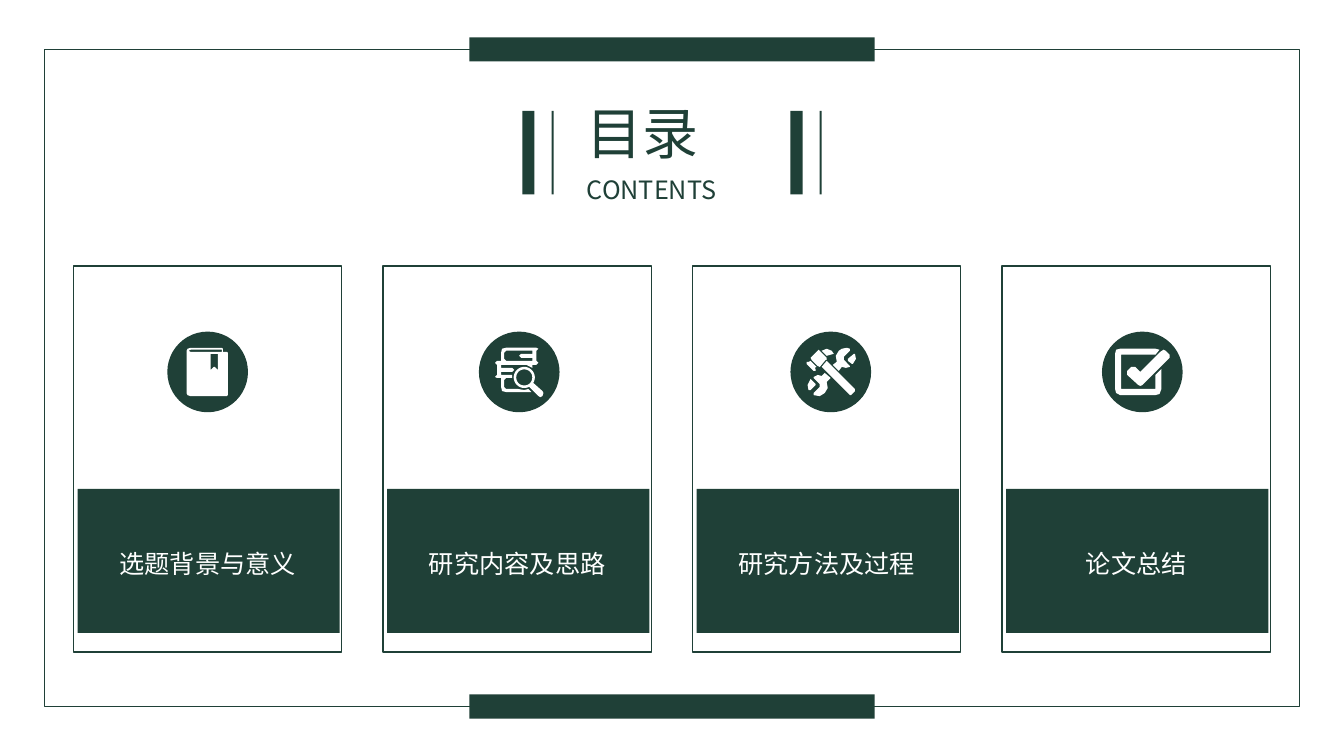
import math
from lxml import etree
from pptx import Presentation
from pptx.dml.color import RGBColor
from pptx.enum.shapes import MSO_SHAPE
from pptx.enum.text import MSO_ANCHOR, MSO_AUTO_SIZE, PP_ALIGN
from pptx.oxml.ns import qn
from pptx.util import Inches, Pt

RECT, OVAL = MSO_SHAPE.RECTANGLE, MSO_SHAPE.OVAL
TOP, NO_FIT = MSO_ANCHOR.TOP, MSO_AUTO_SIZE.NONE
CENTER, JUSTIFY = PP_ALIGN.CENTER, PP_ALIGN.JUSTIFY
FONT = "Noto Sans CJK SC"
COLORS = {"green": "1F4037", "white": "FFFFFF"}


def ring(x, y, r, count=32):
    turns = [2 * math.pi * i / count for i in range(count)]
    return [(x + r * math.cos(t), y + r * math.sin(t)) for t in turns]


# Icon outlines, in hundredths of an inch from the corner of the disc
BOOK = [
    [(59, 20), (55, 20), (55, 17), (54, 16), (23, 16), (20, 17), (19, 19), (19, 61),
     (20, 63), (23, 64), (59, 64), (60, 63), (60, 21)],
    [(23, 18), (54, 18), (54, 20), (23, 20), (21, 19)],
    [(43, 22), (50, 22), (50, 38), (47, 35), (46, 35), (43, 38)],
]
SEARCH = [
    ring(45, 45.5, 10.5),
    ring(45, 45.5, 8),
    [(54, 51), (63, 59), (64, 61), (63, 64), (61, 65), (59, 64), (50, 55), (52.4, 52.9)],
    [(27, 19), (25, 21), (25, 27), (27, 29), (53, 29), (53, 26), (42, 26), (40, 24),
     (42, 22), (53, 22), (53, 19)],
    [(27, 16), (57, 16), (59, 17), (57, 19), (57, 29), (59, 31), (57, 33), (53, 33),
     (53, 36), (49, 34), (47, 33), (22, 33), (22, 36), (33, 36), (35, 38), (33, 40),
     (22, 40), (22, 43), (33, 43), (33, 46), (27, 46), (25, 48), (25, 55), (27, 57),
     (39, 57), (45, 58), (49, 57), (52, 60), (27, 60), (23, 59), (22, 55), (22, 46),
     (18, 46), (16, 45), (18, 43), (18, 33), (16, 31), (18, 29), (22, 29), (22, 21),
     (23, 17)],
]
TOOLS = [
    [(20, 47), (21, 48), (25, 52), (25, 53), (20, 58), (18, 58), (17, 53)],
    [(34, 41), (40, 46), (36, 50), (37, 56), (34, 61), (29, 64), (23, 63), (23, 61),
     (29, 55), (29, 52), (23, 46), (23, 45), (27, 43), (31, 44)],
    [(36, 29), (64, 57), (64, 59), (60, 63), (59, 63), (31, 35)],
    [(20, 29), (26, 35), (24, 36), (25, 37), (25, 39), (23, 39), (16, 32), (16, 30),
     (18, 30)],
    [(63, 22), (64, 22), (65, 27), (62, 32), (61, 32), (57, 29), (57, 27)],
    [(28, 18), (30, 20), (36, 26), (36, 28), (35, 28), (30, 34), (29, 35), (27, 34),
     (21, 28), (20, 26), (27, 19)],
    [(36, 17), (41, 19), (43, 22), (36, 24), (31, 19)],
    [(56, 16), (59, 17), (59, 19), (53, 25), (53, 28), (59, 34), (59, 35), (55, 36),
     (51, 35), (48, 39), (42, 33), (46, 30), (45, 24), (48, 19), (51, 17)],
]
CHECK = [
    [(61, 18), (63, 19), (67, 23), (67, 26), (40, 53), (38, 54), (36, 53), (25, 43),
     (25, 39), (29, 35), (31, 35), (33, 35), (38, 40), (58, 20)],
    [(18, 17), (53, 17), (57, 18), (53, 23), (19, 23), (19, 57), (53, 57), (53, 43),
     (59, 37), (59, 57), (57, 62), (53, 63), (18, 63), (14, 61), (13, 57), (13, 22),
     (14, 18)],
]
CARDS = [
    ("选题背景与意义", BOOK),
    ("研究内容及思路", SEARCH),
    ("研究方法及过程", TOOLS),
    ("论文总结", CHECK),
]


def rgb(name):
    return RGBColor.from_string(COLORS[name])


def paint(shape, fill=None, line=None):
    shape.shadow.inherit = False
    if fill:
        shape.fill.solid()
        shape.fill.fore_color.rgb = rgb(fill)
    else:
        shape.fill.background()
    if line:
        shape.line.color.rgb = rgb(line)
        shape.line.width = Pt(1)
    else:
        shape.line.fill.background()


def block(slide, box, kind=RECT, fill=None, line=None):
    shape = slide.shapes.add_shape(kind, *map(Inches, box))
    paint(shape, fill, line)


def write(shape, text, size, color, align, pad=0):
    frame = shape.text_frame
    frame.word_wrap = True
    frame.auto_size = NO_FIT
    frame.vertical_anchor = TOP
    frame.margin_left = frame.margin_right = Inches(2 * pad)
    frame.margin_top = frame.margin_bottom = Inches(pad)
    para = frame.paragraphs[0]
    para.alignment = align
    run = para.add_run()
    run.text = text
    run.font.name, run.font.size = FONT, Pt(size)
    run.font.color.rgb = rgb(color)
    etree.SubElement(run.font._element, qn("a:ea"), typeface=FONT)


def label(slide, box, text, size, color, align, pad=0):
    shape = slide.shapes.add_textbox(*map(Inches, box))
    write(shape, text, size, color, align, pad)


def border(slide, x, y, w, h):
    block(slide, (x, y, w, h), line="green")
    for edge in (y, y + h):
        block(slide, (x + w / 2 - 2.01, edge - 0.12, 4.02, 0.24), fill="green")


def header(slide, x, y, w, h):
    # Title and subtitle
    title = slide.shapes.title
    title.left, title.top = Inches(x + 0.64), Inches(y - 0.12)
    title.width, title.height = Inches(1.7), Inches(0.67)
    write(title, "目录", 40, "green", JUSTIFY)
    label(slide, (x + 0.64, y + 0.63, 1.7, 0.3), "CONTENTS", 18, "green", JUSTIFY)
    # Thick and thin bars on both sides
    for left in (x, x + w - 0.31):
        block(slide, (left, y, 0.12, h), fill="green")
        block(slide, (left + 0.29, y, 0.02, h), fill="green")


def icon(slide, x, y, size, paths):
    block(slide, (x, y, size, size), OVAL, fill="green")
    unit = Inches(0.001)
    pen = None
    for path in paths:
        pts = [(px * 10, py * 10) for px, py in path]
        if pen is None:
            pen = slide.shapes.build_freeform(*pts[0], scale=unit)
        else:
            pen.move_to(*pts[0])
        pen.add_line_segments(pts[1:], close=True)
    paint(pen.convert_to_shape(Inches(x), Inches(y)), fill="white")


def card(slide, x, y, w, h, text):
    block(slide, (x, y, w, h), line="green")
    block(slide, (x + 0.04, y + 2.21, w - 0.06, 1.43), fill="green")
    label(slide, (x, y + 2.75, w, 0.4), text, 18, "white", CENTER, 0.05)


def main():
    deck = Presentation()
    deck.slide_width, deck.slide_height = Inches(13.33), Inches(7.5)
    slide = deck.slides.add_slide(deck.slide_layouts[5])
    border(slide, 0.44, 0.49, 12.45, 6.52)
    header(slide, 5.18, 1.1, 2.97, 0.83)
    for i, (text, paths) in enumerate(CARDS):
        card(slide, 0.73 + 3.07 * i, 2.64, 2.66, 3.83, text)
        icon(slide, 1.66 + 3.09 * i, 3.29, 0.8, paths)
    deck.save("out.pptx")


if __name__ == "__main__":
    main()
